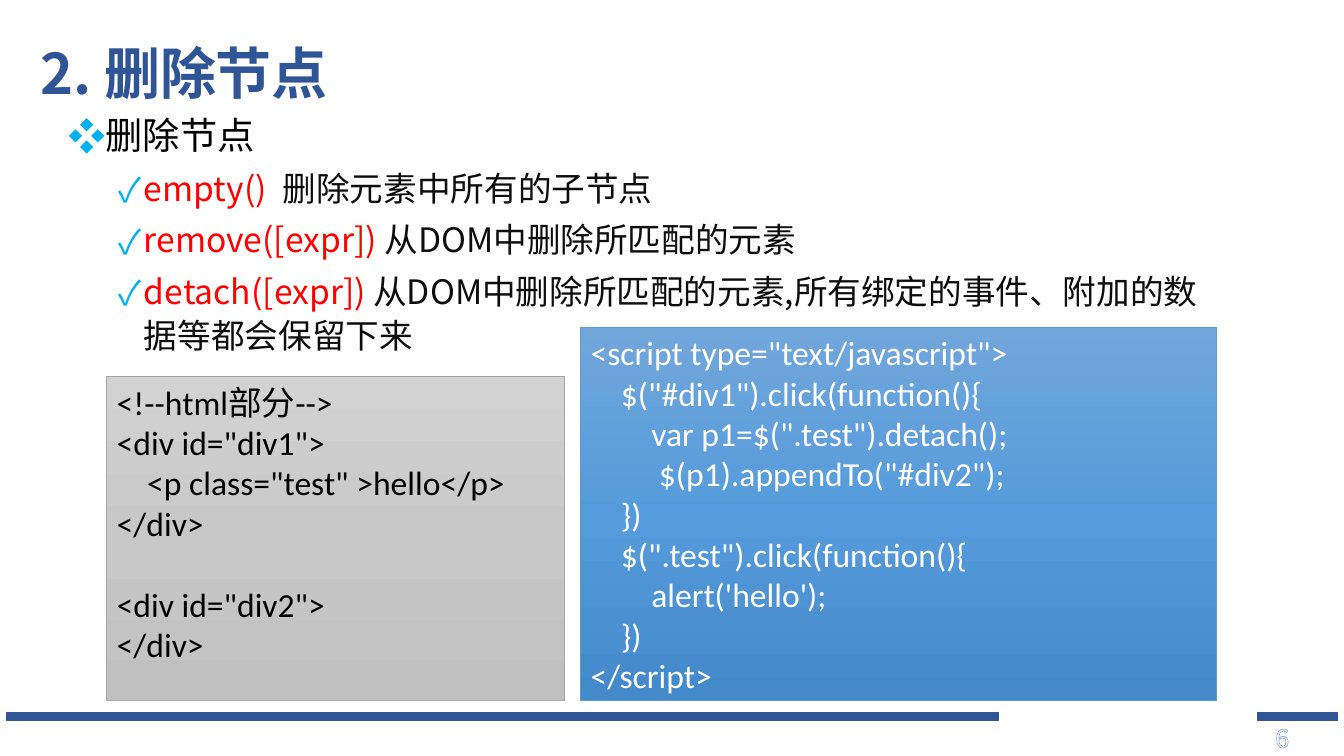
from copy import deepcopy

from lxml import etree
from pptx import Presentation
from pptx.dml.color import RGBColor as RGB
from pptx.enum.shapes import MSO_SHAPE as SHAPE
from pptx.enum.text import MSO_ANCHOR as ANCHOR, PP_ALIGN as ALIGN
from pptx.oxml import parse_xml
from pptx.oxml.ns import nsdecls, qn
from pptx.util import Inches, Pt

W, H = Inches(13.33), Inches(7.5)
SANS, CODE = "Noto Sans CJK SC", "Calibri"
CODE_SIZE = 24
CODE_LINE = 29

COLORS = {
    "navy": "2F5597", "bullet": "00B0F0", "method": "FF0000",
    "text": "0D0D0D", "black": "000000", "white": "FFFFFF",
    "gray_line": "A5A5A5", "blue_line": "5B9BD5",
    "number": "8FAADC", "number_line": "4472C4",
}
GRAY_FADE = ["D2D2D2", "C8C8C8", "C0C0C0"]
BLUE_FADE = ["71A6DB", "559BDB", "448ACA"]

METHODS = [
    ("empty()", 6, "删除元素中所有的子节点"),
    ("remove([expr])", 0, "从DOM中删除所匹配的元素"),
    ("detach([expr])", 0,
     "从DOM中删除所匹配的元素,所有绑定的事件、附加的数据等都会保留下来"),
]

HTML_CODE = """<!--html部分-->
<div id="div1">
    <p class="test" >hello</p>
</div>

<div id="div2">
</div>"""

JS_CODE = """<script type="text/javascript">
    $("#div1").click(function(){
        var p1=$(".test").detach();
         $(p1).appendTo("#div2");
    })
    $(".test").click(function(){
        alert('hello');
    })
</script>"""


def color(name):
    return RGB.from_string(COLORS[name])


def place(x, y, w, h):
    return [round(share * side / 100)
            for share, side in zip((x, y, w, h), (W, H, W, H))]


def add_run(p, text, size, ink, font=SANS, bold=False):
    r = p.add_run()
    r.text = text
    r.font.size, r.font.bold, r.font.name = Pt(size), bold, font
    r.font.color.rgb = color(ink)
    ea = etree.Element(qn("a:ea"), typeface=SANS)
    r.font._element.find(qn("a:latin")).addnext(ea)
    return r


def add_text_box(s, box, anchor=ANCHOR.TOP):
    tf = s.shapes.add_textbox(*place(*box)).text_frame
    tf.word_wrap = True
    tf.vertical_anchor = anchor
    return tf


def add_rect(s, box, line, width):
    sp = s.shapes.add_shape(SHAPE.RECTANGLE, *place(*box))
    sp.shadow.inherit = False
    sp.line.color.rgb = color(line)
    sp.line.width = Pt(width)
    return sp


def add_bar(s, x, w):
    sp = add_rect(s, (x, 94.25, w, 1.07), "navy", 1)
    sp.fill.solid()
    sp.fill.fore_color.rgb = color("navy")


def fade(sp, hexes):
    sp.fill.gradient()
    sp.fill.gradient_angle = 270
    stops = sp._element.spPr.find(qn("a:gradFill")).find(qn("a:gsLst"))
    stops.append(deepcopy(stops[-1]))
    for i, (stop, value) in enumerate(zip(sp.fill.gradient_stops, hexes)):
        stop.position = i / 2
        stop.color.rgb = RGB.from_string(value)


def add_code(s, box, code, ink, hexes, line):
    sp = add_rect(s, box, line, 0.5)
    fade(sp, hexes)
    tf = sp.text_frame
    tf.word_wrap = True
    tf.vertical_anchor = ANCHOR.TOP
    p, gap = tf.paragraphs[0], 0
    for i, text in enumerate(code.split("\n")):
        if not text:
            gap = CODE_LINE
            continue
        if i:
            p = tf.add_paragraph()
        p.alignment = ALIGN.LEFT
        p.space_before = Pt(gap)
        add_run(p, text, CODE_SIZE, ink, CODE)
        gap = 0


def set_bullet(p, char, indent, before):
    p.line_spacing = 1.1
    p.space_before = Pt(before)
    pPr = p._p.get_or_add_pPr()
    pPr.set("marL", str(Inches(indent)))
    pPr.set("indent", str(-Inches(0.25)))
    clr = etree.SubElement(pPr, qn("a:buClr"))
    etree.SubElement(clr, qn("a:srgbClr"), val=COLORS["bullet"])
    etree.SubElement(pPr, qn("a:buFont"), typeface=SANS)
    etree.SubElement(pPr, qn("a:buChar"), char=char)


def add_title(s):
    p = add_text_box(s, (2.25, 0.4, 86.27, 19.33), ANCHOR.MIDDLE).paragraphs[0]
    p.line_spacing = 0.9
    add_run(p, "2. 删除节点", 40, "navy", bold=True)


def add_methods(s):
    tf = add_text_box(s, (4.35, 13.6, 87.4, 34.8))
    p = tf.paragraphs[0]
    set_bullet(p, "❖", 0.25, 0)
    add_run(p, "删除节点", 26.6, "black")
    for name, gap, meaning in METHODS:
        p = tf.add_paragraph()
        p.level = 1
        set_bullet(p, "✓", 0.75, 5)
        add_run(p, name, 24, "method")
        space = add_run(p, " ", 24, "text")
        space.font._element.set("spc", str(gap * 100))
        add_run(p, meaning, 24, "text")


def add_page_number(s):
    p = add_text_box(s, (94.15, 94.93, 5.4, 5.33)).paragraphs[0]
    rPr = add_run(p, "6", 18, "number").font._element
    ns = nsdecls("a")
    rPr.replace(rPr.find(qn("a:solidFill")), parse_xml(
        f'<a:pattFill {ns} prst="ltDnDiag">'
        f'<a:fgClr><a:srgbClr val="{COLORS["number"]}"/></a:fgClr>'
        f'<a:bgClr><a:srgbClr val="{COLORS["white"]}"/></a:bgClr></a:pattFill>'))
    rPr.insert(0, parse_xml(
        f'<a:ln {ns} w="{Pt(1)}"><a:solidFill>'
        f'<a:srgbClr val="{COLORS["number_line"]}"/></a:solidFill></a:ln>'))


def main():
    prs = Presentation()
    prs.slide_width, prs.slide_height = W, H
    s = prs.slides.add_slide(prs.slide_layouts[6])
    add_bar(s, 0.53, 73.75)
    add_bar(s, 93.58, 5.93)
    add_page_number(s)
    add_title(s)
    add_methods(s)
    add_code(s, (7.95, 49.82, 34.06, 42.85), HTML_CODE, "black",
             GRAY_FADE, "gray_line")
    add_code(s, (43.2, 43.3, 47.3, 49.36), JS_CODE, "white",
             BLUE_FADE, "blue_line")
    prs.save("out.pptx")


if __name__ == "__main__":
    main()
